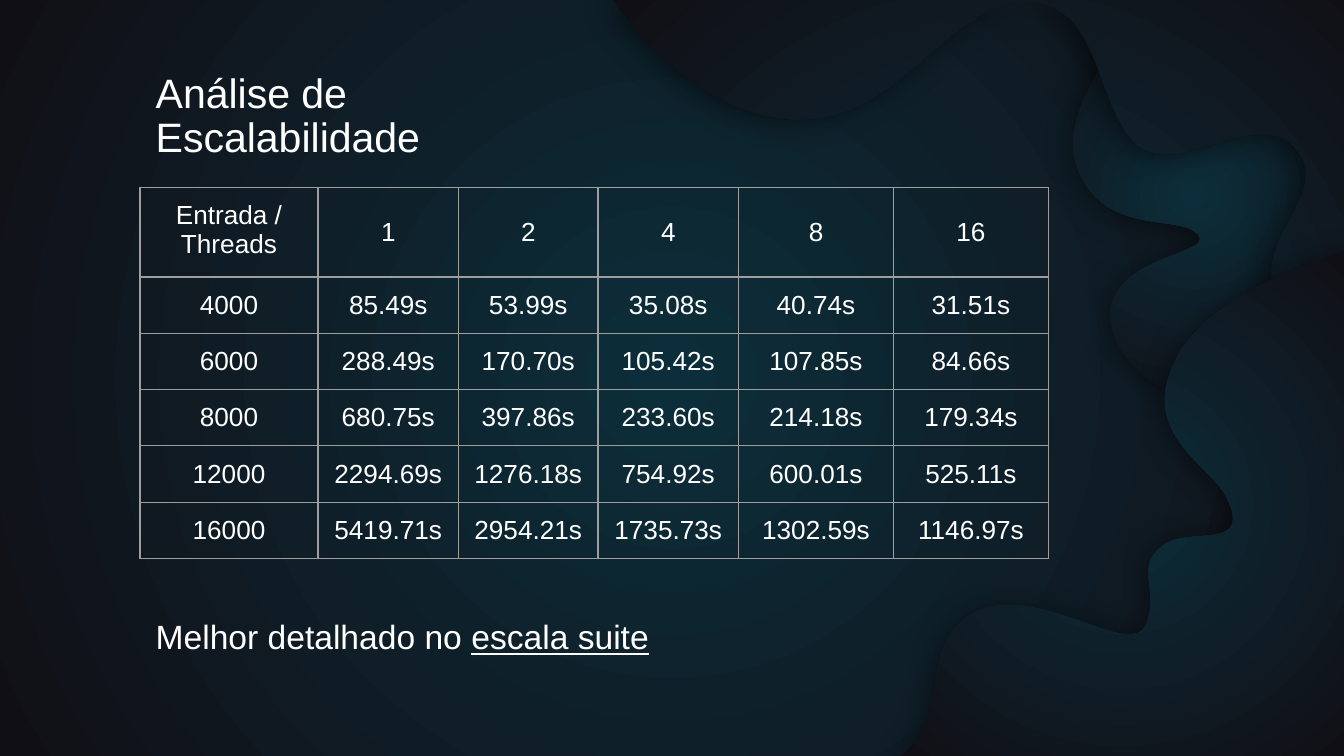
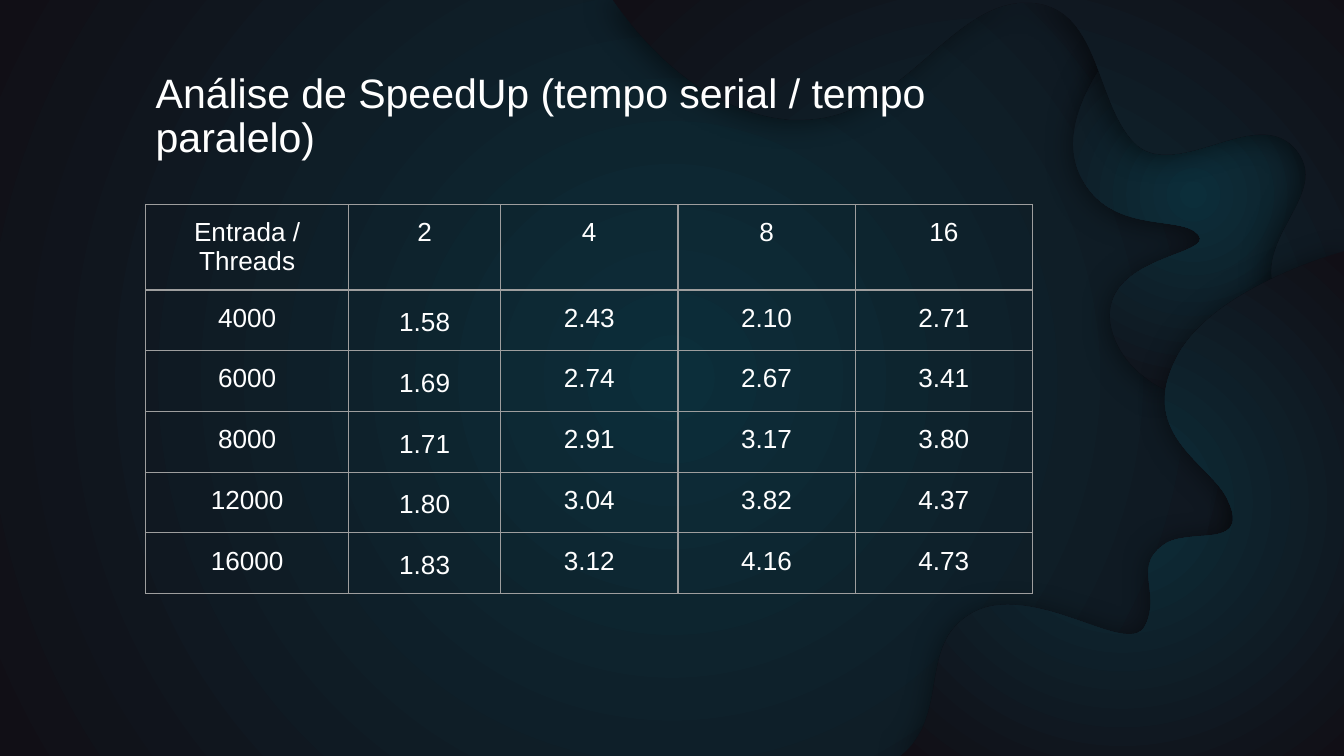
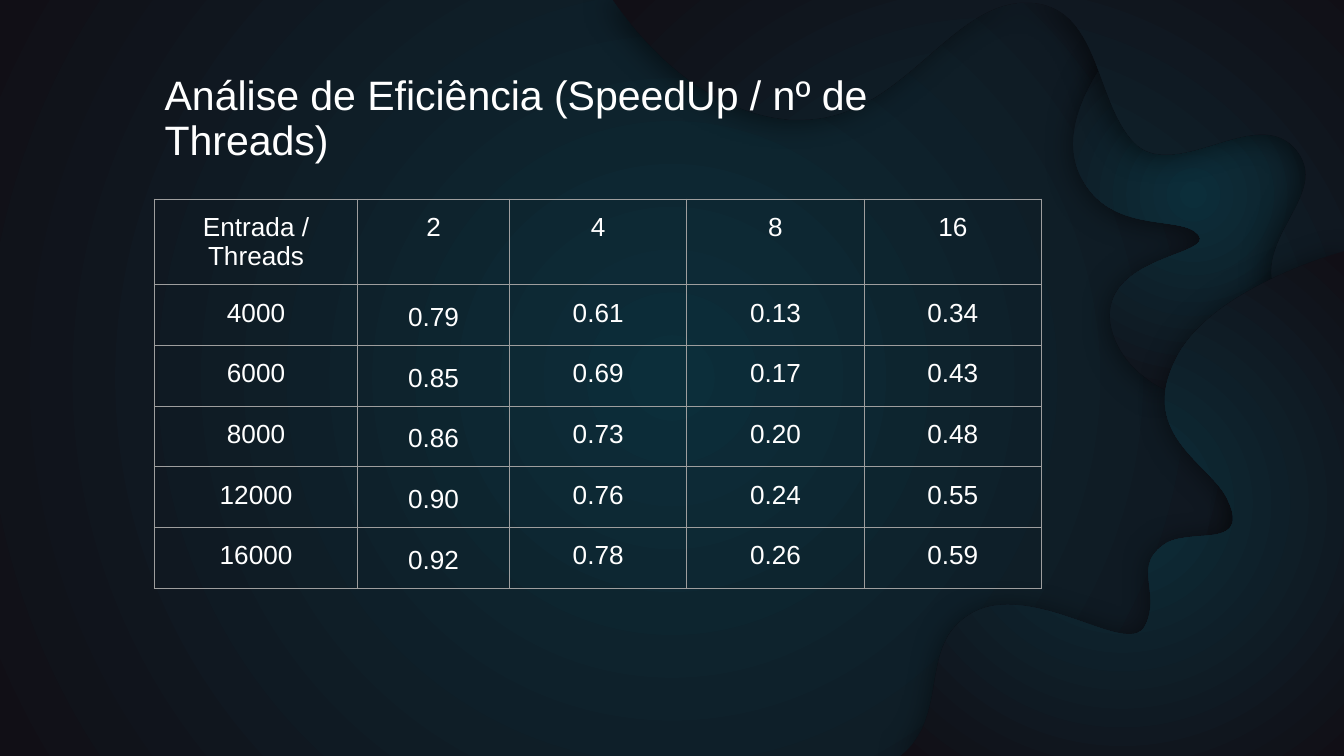
from dataclasses import dataclass
from typing import Any

from lxml import etree
from pptx import Presentation
from pptx import util as u
from pptx.dml import color, fill as dml_fill
from pptx.enum import text
from pptx.oxml import ns
from pptx.slide import Slide, SlideLayout

Pt = u.Pt

# Shared style
COLORS = {"teal": "0C2E3A", "night": "110F16", "white": "FFFFFF",
          "grid": "9E9E9E", "shadow": "000000"}
FONT = "Arial"
SLIDE_SIZE = (720, 405)
TITLE_LAYOUT = 0
BOX_FORMAT = {"margin_left": Pt(5.4), "margin_right": Pt(5.4),
              "margin_top": Pt(2.7), "margin_bottom": Pt(2.7),
              "vertical_anchor": text.MSO_ANCHOR.MIDDLE,
              "word_wrap": True, "auto_size": text.MSO_AUTO_SIZE.NONE}
BOX_PARAGRAPH = {"alignment": text.PP_ALIGN.LEFT, "line_spacing": 0.9,
                 "space_before": Pt(0)}
CELL_MARGINS = {f"margin_{side}": Pt(7.2)
                for side in ("left", "right", "top", "bottom")}


@dataclass(frozen=True)
class Box:
    left: float
    top: float
    width: float
    height: float = 36.7


@dataclass(frozen=True)
class Wave:
    """Outline in points: pairs are line ends, sextuples are Bézier curves."""
    start: tuple[float, float]
    segments: tuple[tuple[float, ...], ...]
    shadow_distance: float = 1.5
    shadow_angle: int = 90


@dataclass(frozen=True)
class ResultTable:
    left: float
    top: float
    widths: tuple[float, ...]
    threads: str
    rows: tuple[str, ...]
    header_height: float = 30
    header_anchor: Any = text.MSO_ANCHOR.TOP
    loose_column: int | None = 1


@dataclass(frozen=True)
class ResultSlide:
    title: str
    title_box: Box
    table: ResultTable
    note: tuple[str, str] | None = None


WAVES = (
    Wave((638.6, 0), (
        (697, 36), (716.4, 128.2),
        (716.4, 128.2, 715.7, 131.8, 713.5, 136.8),
        (691.9, 144, 643.7, 162, 629.3, 193.7),
        (626.4, 198.7, 625, 203.8, 624.2, 208.8),
        (608.4, 200.9, 596.2, 187.2, 594.7, 170.6),
        (593.3, 136.8, 650.2, 136.8, 642.2, 126),
        (633.6, 114.5, 594.7, 126.7, 578.9, 94.3),
        (562.3, 61.2, 602.6, 16.6, 619.9, 0))),
    Wave((720, 0), (
        (720, 398.2),
        (679, 370.1, 642.2, 263.5, 683.3, 249.8),
        (717.1, 239, 734.4, 208.8, 694.8, 172.1),
        (655.2, 135.4, 716.4, 108, 694.8, 80.6),
        (689.8, 74.2, 683.3, 72, 676.1, 72),
        (660.2, 72, 640.8, 82.8, 625, 82.8),
        (618.5, 82.8, 612.7, 81.4, 607.7, 76.3),
        (586.1, 54, 589.7, 1.4, 550.1, 1.4),
        (549.4, 1.4, 548.6, 1.4, 547.9, 1.4),
        (507.6, 2.9, 482.4, 64.1, 429.1, 64.1),
        (427, 64.1, 425.5, 64.1, 423.4, 64.1),
        (379.4, 60.5, 347, 26.6, 328.3, 0)), 3.8, 157),
    Wave((720, 134.6), (
        (720, 405), (482.4, 405),
        (507.6, 385.2, 493.9, 351.4, 514.1, 333.4),
        (522, 326.2, 530.6, 324, 540, 324),
        (564.5, 324, 591.1, 339.8, 604.8, 339.8),
        (608.4, 339.8, 611.3, 339.1, 613.4, 335.5),
        (622.8, 316.8, 605.5, 303.1, 625, 290.9),
        (628.6, 288.7, 634.3, 288, 641.5, 287.3),
        (653.8, 286.6, 666, 285.8, 658.1, 268.6),
        (650.2, 249.1, 609.8, 234, 629.3, 193.7),
        (645.1, 159.1, 702.7, 139.7, 720, 134.6))),
)

NOTE_BOX = Box(78, 324, 311)
RATIO_WIDTHS = (108.8, 81.4, 95, 95, 95)
RESULTS = (
    ResultSlide(
        "Análise de Escalabilidade", Box(78, 44.6, 248.4),
        ResultTable(75, 100.4, (95.4, 75.3, 74.7, 75.3, 83, 83), "1 2 4 8 16", (
            "4000 85.49s 53.99s 35.08s 40.74s 31.51s",
            "6000 288.49s 170.70s 105.42s 107.85s 84.66s",
            "8000 680.75s 397.86s 233.60s 214.18s 179.34s",
            "12000 2294.69s 1276.18s 754.92s 600.01s 525.11s",
            "16000 5419.71s 2954.21s 1735.73s 1302.59s 1146.97s"),
            48, text.MSO_ANCHOR.MIDDLE, None),
        ("Melhor detalhado no ", "escala suite")),
    ResultSlide(
        "Análise de SpeedUp (tempo serial / tempo paralelo)", Box(78, 44.6, 494),
        ResultTable(78, 109.5, RATIO_WIDTHS, "2 4 8 16", (
            "4000 1.58 2.43 2.10 2.71",
            "6000 1.69 2.74 2.67 3.41",
            "8000 1.71 2.91 3.17 3.80",
            "12000 1.80 3.04 3.82 4.37",
            "16000 1.83 3.12 4.16 4.73"))),
    ResultSlide(
        "Análise de Eficiência (SpeedUp / nº de Threads)", Box(82.8, 45.8, 431.3),
        ResultTable(82.8, 106.7, RATIO_WIDTHS, "2 4 8 16", (
            "4000 0.79 0.61 0.13 0.34",
            "6000 0.85 0.69 0.17 0.43",
            "8000 0.86 0.73 0.20 0.48",
            "12000 0.90 0.76 0.24 0.55",
            "16000 0.92 0.78 0.26 0.59"))),
)


# Formatting helpers
def apply_format(target: Any, values: dict[str, Any]) -> None:
    for name, value in values.items():
        setattr(target, name, value)


def rgb(name: str) -> color.RGBColor:
    return color.RGBColor.from_string(COLORS[name])


def add_node(parent: Any, tag: str, **attributes: Any) -> Any:
    return etree.SubElement(parent, ns.qn(tag),
                            {key: str(value) for key, value in attributes.items()})


def add_run(paragraph: Any, words: str, size: float, underline: bool = False) -> None:
    run = paragraph.add_run()
    run.text = words
    apply_format(run.font, {"name": FONT, "size": Pt(size), "bold": False,
                            "underline": underline})
    run.font.color.rgb = rgb("white")


def paint_glow(fill: dml_fill.FillFormat) -> None:
    """Radial gradient from teal in the centre to night at the rim."""
    fill.gradient()
    for stop, name in zip(fill.gradient_stops, ("teal", "night")):
        stop.color.rgb = rgb(name)
    gradient = fill._xPr.find(ns.qn("a:gradFill"))
    gradient.remove(gradient.find(ns.qn("a:lin")))
    circle = add_node(gradient, "a:path", path="circle")
    add_node(circle, "a:fillToRect", l=50000, t=50000, r=50000, b=50000)


# Shared backdrop
def bend_lines(shape: Any, wave: Wave) -> None:
    """Join each three lines of a curved segment into one Bézier curve."""
    lines = iter(list(shape._element.iter(ns.qn("a:lnTo"))))
    for segment in wave.segments:
        first = next(lines)
        if len(segment) == 6:
            first.tag = ns.qn("a:cubicBezTo")
            for line in (next(lines), next(lines)):
                first.append(line[0])
                line.getparent().remove(line)


def add_wave(slide: Slide, wave: Wave) -> Any:
    points = [(Pt(x), Pt(y)) for segment in wave.segments
              for x, y in zip(segment[::2], segment[1::2])]
    builder = slide.shapes.build_freeform(*map(Pt, wave.start))
    builder.add_line_segments(points, close=True)
    shape = builder.convert_to_shape()
    bend_lines(shape, wave)
    paint_glow(shape.fill)
    shape.line.fill.background()
    shape.shadow.inherit = False
    effects = shape._element.spPr.find(ns.qn("a:effectLst"))
    shadow = add_node(effects, "a:outerShdw", blurRad=Pt(15.8),
                      dist=Pt(wave.shadow_distance),
                      dir=wave.shadow_angle * 60000, rotWithShape=0)
    tint = add_node(shadow, "a:srgbClr", val=COLORS["shadow"])
    add_node(tint, "a:alpha", val=50000)
    return shape


def move_waves_to_layout(slide: Slide, layout: SlideLayout) -> None:
    paint_glow(layout.background.fill)
    for index, wave in enumerate(WAVES):
        shape = add_wave(slide, wave)
        shape.name = f"Wave {index + 1}"
        shape._element.nvSpPr.cNvPr.set("id", str(20 + index))
        layout.shapes._spTree.insert(2 + index, shape._element)


# Slide content
def format_box(shape: Any, box: Box) -> Any:
    apply_format(shape, {"left": Pt(box.left), "top": Pt(box.top),
                         "width": Pt(box.width), "height": Pt(box.height)})
    apply_format(shape.text_frame, BOX_FORMAT)
    paragraph = shape.text_frame.paragraphs[0]
    apply_format(paragraph, BOX_PARAGRAPH)
    return paragraph


def fill_note(slide: Slide, note: tuple[str, str] | None) -> None:
    subtitle = slide.placeholders[1]
    if note is None:
        subtitle._element.getparent().remove(subtitle._element)
        return
    paragraph = format_box(subtitle, NOTE_BOX)
    lead, reference = note
    add_run(paragraph, lead, 18)
    add_run(paragraph, reference, 18, underline=True)


def add_borders(cell: Any) -> None:
    properties = cell._tc.get_or_add_tcPr()
    for side in "LRTB":
        line = add_node(properties, f"a:ln{side}", w=Pt(0.75))
        add_node(add_node(line, "a:solidFill"), "a:srgbClr", val=COLORS["grid"])


def add_results(slide: Slide, results: ResultTable) -> None:
    grid = [["Entrada / Threads", *results.threads.split()]]
    grid += [row.split() for row in results.rows]
    heights = [results.header_height] + [30] * len(results.rows)
    table = slide.shapes.add_table(
        len(grid), len(results.widths), Pt(results.left), Pt(results.top),
        Pt(sum(results.widths)), Pt(sum(heights))).table
    apply_format(table, {"first_row": False, "horz_banding": False})
    for column, width in zip(table.columns, results.widths):
        column.width = Pt(width)
    for row, height in zip(table.rows, heights):
        row.height = Pt(height)
    for row_index, values in enumerate(grid):
        for column_index, value in enumerate(values):
            cell = table.cell(row_index, column_index)
            add_borders(cell)
            cell.fill.background()
            apply_format(cell, CELL_MARGINS)
            paragraph = cell.text_frame.paragraphs[0]
            paragraph.alignment = text.PP_ALIGN.CENTER
            add_run(paragraph, value, 14)
            if row_index == 0 and column_index > 0:
                cell.vertical_anchor = results.header_anchor
            elif row_index > 0 and column_index == results.loose_column:
                paragraph.line_spacing = 1.15


def main() -> None:
    presentation = Presentation()
    presentation.slide_width, presentation.slide_height = map(Pt, SLIDE_SIZE)
    layout = presentation.slide_layouts[TITLE_LAYOUT]
    for result in RESULTS:
        slide = presentation.slides.add_slide(layout)
        add_run(format_box(slide.shapes.title, result.title_box), result.title, 22)
        add_results(slide, result.table)
        fill_note(slide, result.note)
    move_waves_to_layout(presentation.slides[0], layout)
    presentation.save("out.pptx")


if __name__ == "__main__":
    main()
